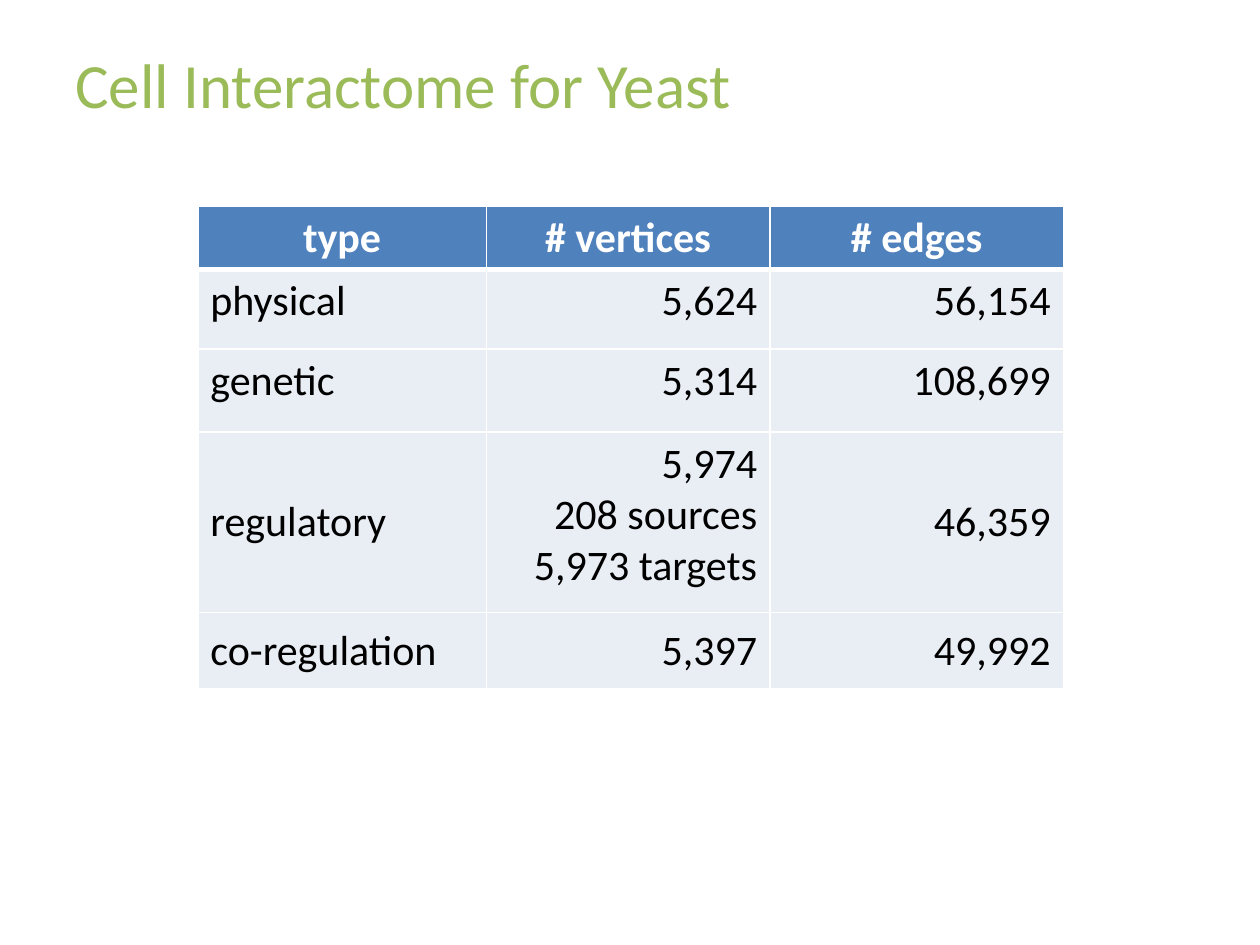
from pptx import Presentation
from pptx.dml.color import RGBColor
from pptx.enum.text import MSO_ANCHOR as Anchor, PP_ALIGN as Align
from pptx.oxml.ns import qn
from pptx.util import Inches, Pt
from lxml.etree import SubElement

FONT = "Calibri"
GREEN, BLUE, PALE = "9BBB59", "4F81BD", "E9EDF4"
WHITE, BLACK = "FFFFFF", "000000"

# Table content: one list of lines per cell that holds several
HEADER = ["type", "# vertices", "# edges"]
ROWS = [
    ["physical", "5,624", "56,154"],
    ["genetic", "5,314", "108,699"],
    ["regulatory", ["5,974", "208 sources", "5,973 targets"], "46,359"],
    ["co-regulation", "5,397", "49,992"],
]
COL_WIDTHS = [2.29, 2.25, 2.33]
ROW_HEIGHTS = [0.5, 0.63, 0.66, 1.43, 0.61]
MIDDLE_CELLS = {(3, 0), (3, 2), (4, 0), (4, 1), (4, 2)}


def color(hex_code):
    return RGBColor.from_string(hex_code)


def add_run(p, text, size, hex_code, bold=False):
    r = p.add_run()
    r.text = text
    r.font.name, r.font.size, r.font.bold = FONT, Pt(size), bold
    r.font.color.rgb = color(hex_code)


def add_title(s, text, width, height):
    box = s.shapes.add_textbox(int(width * 0.05), int(height * 0.04),
                               int(width * 0.9), int(height * 0.096))
    tf = box.text_frame
    tf.word_wrap = True
    tf.vertical_anchor = Anchor.MIDDLE
    add_run(tf.paragraphs[0], text, 36, GREEN)


def set_borders(cell, top, bottom):
    tc_pr = cell._tc.get_or_add_tcPr()
    for side, points in (("L", 1), ("R", 1), ("T", top), ("B", bottom)):
        line = SubElement(tc_pr, qn(f"a:ln{side}"), w=str(Pt(points)))
        fill = SubElement(line, qn("a:solidFill"))
        SubElement(fill, qn("a:srgbClr"), val=WHITE)


def fill_cell(cell, content, row, col):
    is_header = row == 0
    # Borders come before the fill in the cell's XML
    set_borders(cell, top=3 if row == 1 else 1, bottom=3 if is_header else 1)
    cell.fill.solid()
    cell.fill.fore_color.rgb = color(BLUE if is_header else PALE)
    cell.vertical_anchor = Anchor.MIDDLE if (row, col) in MIDDLE_CELLS else Anchor.TOP

    lines = [content] if isinstance(content, str) else content
    tf = cell.text_frame
    for i, text in enumerate(lines):
        p = tf.add_paragraph() if i else tf.paragraphs[0]
        p.alignment = Align.CENTER if is_header else Align.RIGHT if col else Align.LEFT
        add_run(p, text, 24, WHITE if is_header else BLACK, bold=is_header)


def add_data_table(s, left, top):
    data = [HEADER] + ROWS
    frame = s.shapes.add_table(len(data), len(HEADER), Inches(left), Inches(top),
                               Inches(sum(COL_WIDTHS)), Inches(sum(ROW_HEIGHTS)))
    table = frame.table
    for column, width in zip(table.columns, COL_WIDTHS):
        column.width = Inches(width)
    for table_row, height in zip(table.rows, ROW_HEIGHTS):
        table_row.height = Inches(height)
    for row, contents in enumerate(data):
        for col, content in enumerate(contents):
            fill_cell(table.cell(row, col), content, row, col)


def main():
    prs = Presentation()
    prs.slide_width, prs.slide_height = Inches(10), Inches(7.5)
    s = prs.slides.add_slide(prs.slide_layouts[6])

    # Title above the table of interaction types
    add_title(s, "Cell Interactome for Yeast", prs.slide_width, prs.slide_height)
    add_data_table(s, left=1.57, top=1.64)

    prs.save("out.pptx")


if __name__ == "__main__":
    main()
